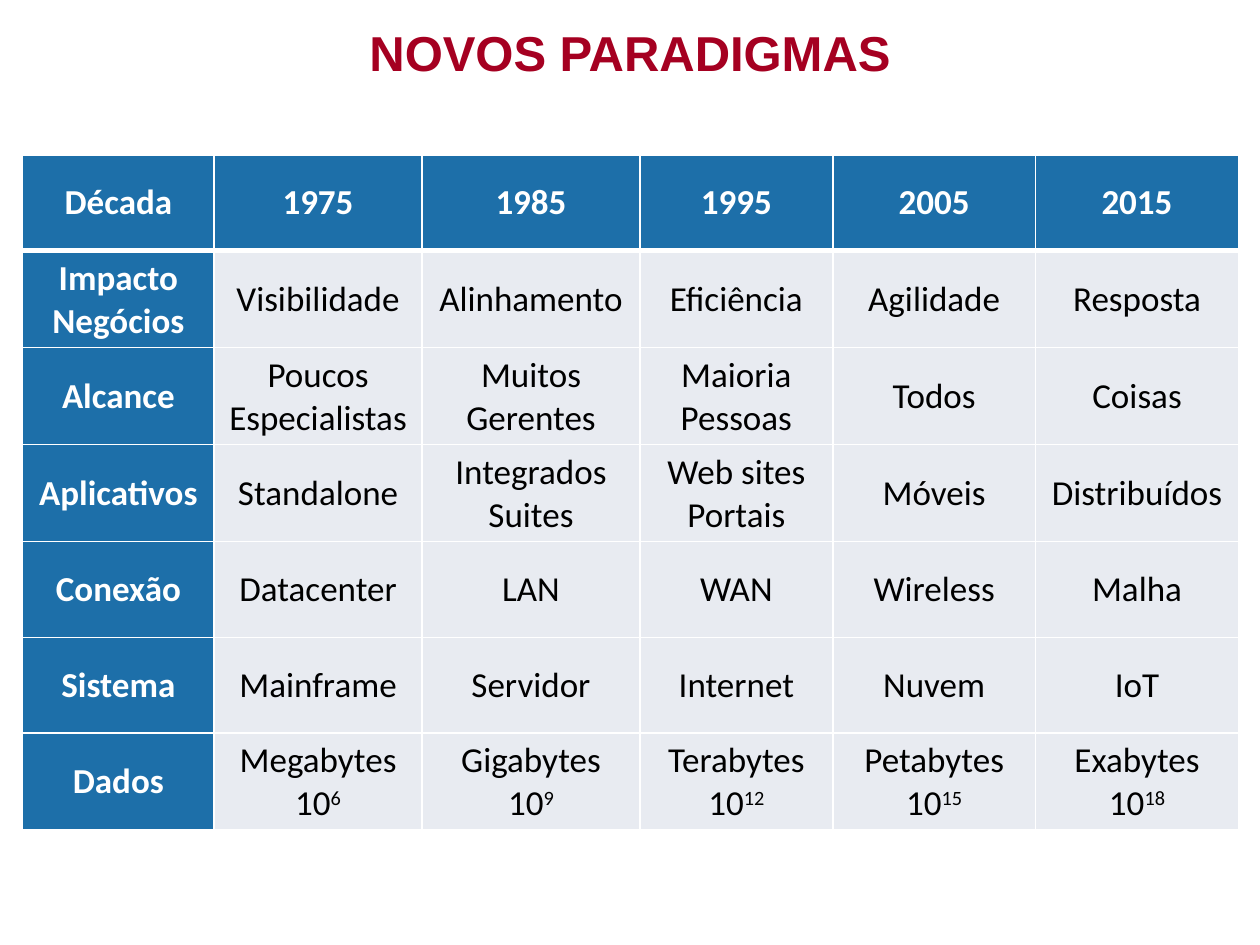
"""Build the "Novos Paradigmas" slide: a table of computing eras by decade."""
from dataclasses import dataclass

from lxml.etree import SubElement
from pptx import Presentation
from pptx.dml.color import RGBColor
from pptx.enum.text import MSO_ANCHOR, PP_ALIGN
from pptx.oxml.ns import qn
from pptx.util import Inches, Pt


@dataclass(frozen=True)
class Theme:
    title_font: str = "Arial"
    body_font: str = "Calibri"
    title_size: int = 28
    body_size: int = 20
    title: str = "A50021"
    heading: str = "1D6FA9"
    body: str = "E8EBF1"
    light: str = "FFFFFF"
    dark: str = "000000"
    thin: int = 1
    thick: int = 3


@dataclass(frozen=True)
class Row:
    label: str
    values: tuple[str, ...]
    height: float


THEME = Theme()
COL_WIDTHS = (1.52, 1.65, 1.73, 1.53, 1.61, 1.61)
SCALES = (("Mega", 6), ("Giga", 9), ("Tera", 12), ("Peta", 15), ("Exa", 18))
ROWS = (
    Row("Década", ("1975", "1985", "1995", "2005", "2015"), 0.76),
    Row("Impacto\nNegócios",
        ("Visibilidade", "Alinhamento", "Eficiência", "Agilidade", "Resposta"), 0.77),
    Row("Alcance",
        ("Poucos\vEspecialistas", "Muitos\vGerentes", "Maioria\vPessoas", "Todos", "Coisas"), 0.77),
    Row("Aplicativos",
        ("Standalone", "Integrados\nSuites", "Web sites\nPortais", "Móveis", "Distribuídos"), 0.77),
    Row("Conexão", ("Datacenter", "LAN", "WAN", "Wireless", "Malha"), 0.76),
    Row("Sistema", ("Mainframe", "Servidor", "Internet", "Nuvem", "IoT"), 0.76),
    Row("Dados", tuple(f"{prefix}bytes\v10^{power}" for prefix, power in SCALES), 0.77),
)


def style_run(r, font: str, size: int, color: str, bold: bool) -> None:
    r.font.name = font
    r.font.size = Pt(size)
    r.font.bold = bold
    r.font.color.rgb = RGBColor.from_string(color)


def add_border(cell, side: str, width: int) -> None:
    ln = SubElement(cell._tc.get_or_add_tcPr(), qn(f"a:{side}"), w=str(Pt(width)))
    fill = SubElement(ln, qn("a:solidFill"))
    SubElement(fill, qn("a:srgbClr"), val=THEME.light)


def fill_cell(cell, text: str, heading: bool, bottom: int, top: int) -> None:
    base, _, power = text.partition("^")
    tf = cell.text_frame
    tf.text = base
    if power:
        r = tf.paragraphs[-1].add_run()
        r.text = power
        r._r.get_or_add_rPr().set("baseline", "30000")
    for p in tf.paragraphs:
        p.alignment = PP_ALIGN.CENTER
        for r in p.runs:
            style_run(r, THEME.body_font, THEME.body_size,
                      THEME.light if heading else THEME.dark, heading)
    cell.vertical_anchor = MSO_ANCHOR.MIDDLE
    for side, width in (("lnL", THEME.thin), ("lnR", THEME.thin), ("lnT", top), ("lnB", bottom)):
        add_border(cell, side, width)
    cell.fill.solid()
    cell.fill.fore_color.rgb = RGBColor.from_string(THEME.heading if heading else THEME.body)


def add_title(s, text: str) -> None:
    tf = s.shapes.add_textbox(Inches(2.81), Inches(0.13), Inches(4.38), Inches(0.57)).text_frame
    tf.word_wrap = False
    tf.text = text
    p = tf.paragraphs[0]
    p.alignment = PP_ALIGN.CENTER
    style_run(p.runs[0], THEME.title_font, THEME.title_size, THEME.title, True)


def add_paradigm_table(s, rows: tuple[Row, ...]) -> None:
    table = s.shapes.add_table(
        len(rows), len(COL_WIDTHS), Inches(0.18), Inches(1.23),
        Inches(sum(COL_WIDTHS)), Inches(sum(row.height for row in rows))).table
    table.horz_banding = False
    for col, width in zip(table.columns, COL_WIDTHS):
        col.width = Inches(width)
    for i, row in enumerate(rows):
        table.rows[i].height = Inches(row.height)
        bottom = THEME.thick if i == 0 else THEME.thin
        top = THEME.thick if i == 1 else THEME.thin
        for j, text in enumerate((row.label, *row.values)):
            fill_cell(table.cell(i, j), text, i == 0 or j == 0, bottom, top)


def main() -> None:
    prs = Presentation()
    prs.slide_width, prs.slide_height = Inches(10), Inches(7.5)
    s = prs.slides.add_slide(prs.slide_layouts[6])
    add_title(s, "NOVOS PARADIGMAS")
    add_paradigm_table(s, ROWS)
    prs.save("out.pptx")


if __name__ == "__main__":
    main()
